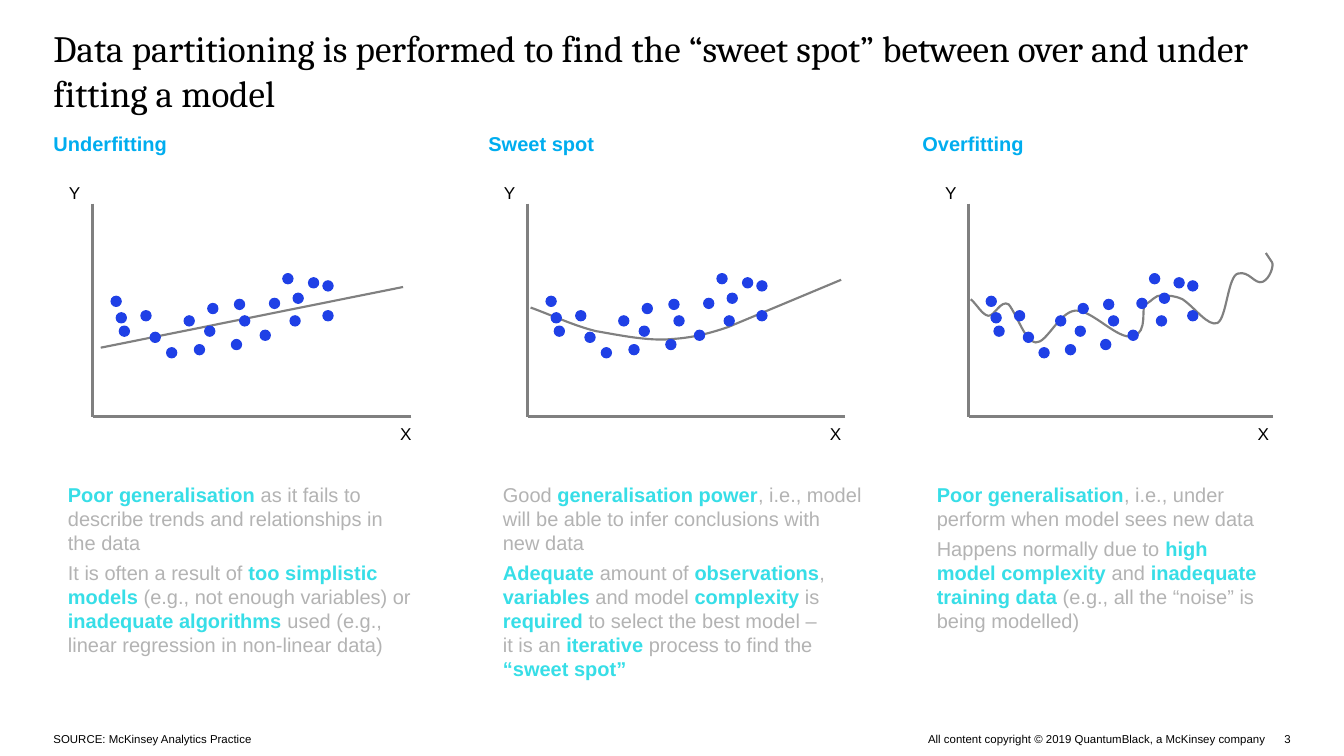
from dataclasses import dataclass

from lxml.etree import SubElement
from pptx import Presentation
from pptx.dml.color import RGBColor
from pptx.enum.dml import MSO_LINE
from pptx.enum.shapes import MSO_CONNECTOR, MSO_SHAPE
from pptx.enum.text import MSO_ANCHOR, MSO_AUTO_SIZE, PP_ALIGN
from pptx.oxml.ns import qn
from pptx.util import Inches, Pt

COLORS = {
    "text": "000000",
    "panel": "FFFFFF",
    "heading": "00ADEF",
    "body": "B3B3B3",
    "accent": "37DEE7",
    "axis": "808080",
    "dot": "1F40E6",
}

Point = tuple[float, float]

COLUMN_WIDTH = 3.63
AXIS_TOP, AXIS_BOTTOM = 1.98, 4.05
DOT_SIZE = 0.1

DOTS: list[Point] = [
    (0, 2.88), (0.05, 3.04), (0.08, 3.17), (0.29, 3.02), (0.38, 3.23),
    (0.91, 3.17), (0.71, 3.07), (0.54, 3.38), (0.81, 3.35), (1.17, 3.3),
    (1.45, 3.21), (1.25, 3.07), (0.94, 2.95), (1.2, 2.91), (1.54, 2.9),
    (1.74, 3.07), (2.06, 3.02), (1.77, 2.85), (1.67, 2.66), (1.92, 2.7),
    (2.06, 2.73),
]


@dataclass
class Fit:
    heading: str
    left: float
    origin: float
    axis_right: float
    x_label: float
    dots_left: float
    dots_right: float
    start: Point
    cubics: list[tuple[Point, Point, Point]]
    end: Point
    body_height: float
    body: list[str]


FITS = [
    Fit("Underfitting", 0.52, 0.9, 4.0, 3.89, 1.08, 3.14, (0.98, 3.38), [], (3.92, 2.79), 1.72, [
        "**Poor generalisation **as it fails to describe trends and relationships in \nthe data",
        "It is often a result of **too simplistic models** (e.g., not enough variables) or "
        "**inadequate algorithms **used (e.g., linear regression in non-linear data)",
    ]),
    Fit("Sweet spot", 4.75, 5.13, 8.22, 8.07, 5.31, 7.36, (5.16, 2.99), [
        ((5.38, 3.07), (5.59, 3.17), (5.8, 3.22)),
        ((5.98, 3.25), (6.26, 3.31), (6.48, 3.3)),
        ((6.63, 3.29), (6.79, 3.28), (7.08, 3.18)),
    ], (8.18, 2.72), 1.96, [
        "Good **generalisation power**, i.e., model will be able to infer conclusions with \nnew data",
        "**Adequate** amount of **observations**, **variables** and model **complexity** is "
        "**required** to select the best model – \nit is an **iterative** process to find the "
        "**“sweet spot”**",
    ]),
    Fit("Overfitting", 8.97, 9.42, 12.38, 12.23, 9.59, 11.55, (9.44, 2.91), [
        ((9.5, 2.96), (9.55, 3.06), (9.61, 3.07)),
        ((9.67, 3.08), (9.73, 2.91), (9.81, 2.96)),
        ((9.9, 3.08), (9.97, 3.32), (10.07, 3.33)),
        ((10.18, 3.34), (10.3, 3.03), (10.46, 3.02)),
        ((10.62, 3.01), (10.87, 3.31), (11.02, 3.27)),
        ((11.17, 3.23), (11.09, 2.98), (11.14, 2.96)),
        ((11.2, 2.93), (11.23, 2.87), (11.3, 2.87)),
        ((11.38, 2.88), (11.41, 2.87), (11.5, 2.91)),
        ((11.62, 2.99), (11.75, 3.18), (11.84, 3.14)),
        ((11.93, 3.09), (11.94, 2.68), (12.04, 2.66)),
        ((12.15, 2.63), (12.2, 2.77), (12.28, 2.74)),
        ((12.35, 2.71), (12.39, 2.58), (12.37, 2.55)),
    ], (12.31, 2.46), 1.48, [
        "**Poor generalisation**, i.e., under perform when model sees new data",
        "Happens normally due to **high \nmodel complexity **and **inadequate training data** "
        "(e.g., all the “noise” is being modelled)",
    ]),
]


def rgb(name: str) -> RGBColor:
    return RGBColor.from_string(COLORS[name])


def place(sp, left: float, top: float, width: float, height: float):
    sp.left, sp.top = Inches(left), Inches(top)
    sp.width, sp.height = Inches(width), Inches(height)
    tf = sp.text_frame
    tf.margin_left = tf.margin_right = tf.margin_top = tf.margin_bottom = 0
    tf.auto_size = MSO_AUTO_SIZE.NONE
    tf.vertical_anchor = MSO_ANCHOR.TOP
    tf.word_wrap = True
    return tf


def add_run(p, text: str, size: float, color: str, bold: bool = False, font: str = "Arial") -> None:
    r = p.add_run()
    r.text = text
    r.font.name, r.font.size, r.font.bold = font, Pt(size), bold
    r.font.color.rgb = rgb(color)


def add_label(s, text: str, left: float, top: float, width: float, height: float, size: float,
              color: str = "text", bold: bool = False, align=PP_ALIGN.LEFT) -> None:
    sp = s.shapes.add_textbox(0, 0, 0, 0)
    p = place(sp, left, top, width, height).paragraphs[0]
    p.alignment = align
    add_run(p, text, size, color, bold)


def add_line(s, start: Point, end: Point, color: str = "axis", width: float = 2.25):
    line = s.shapes.add_connector(MSO_CONNECTOR.STRAIGHT, *map(Inches, start + end))
    line.line.color.rgb = rgb(color)
    line.line.width = Pt(width)
    SubElement(line._element.spPr, qn("a:effectLst"))
    return line


def add_filled(s, kind, left: float, top: float, width: float, height: float,
               color: str, line_width: float) -> None:
    sp = s.shapes.add_shape(kind, *map(Inches, (left, top, width, height)))
    sp.shadow.inherit = False
    sp.fill.solid()
    sp.fill.fore_color.rgb = sp.line.color.rgb = rgb(color)
    sp.line.width = Pt(line_width)


def add_curve(s, fit: Fit) -> None:
    points = [fit.start, *(point for cubic in fit.cubics for point in cubic), fit.end]
    start, *rest = [(Inches(x), Inches(y)) for x, y in points]
    fb = s.shapes.build_freeform(*start)
    fb.add_line_segments(rest, close=False)
    sp = fb.convert_to_shape()
    outline = next(sp._element.iter(qn("a:path")))
    segments = outline.findall(qn("a:lnTo"))
    for i in range(0, 3 * len(fit.cubics), 3):
        first, *others = segments[i:i + 3]
        first.tag = qn("a:cubicBezTo")
        for segment in others:
            first.append(segment[0])
            outline.remove(segment)
    sp.shadow.inherit = False
    sp.fill.background()
    sp.line.color.rgb = rgb("axis")
    sp.line.width = Pt(1.5)


def fill_body(sp, fit: Fit) -> None:
    tf = place(sp, fit.left, 4.69, COLUMN_WIDTH, fit.body_height)
    for i, text in enumerate(fit.body):
        p = tf.add_paragraph() if i else tf.paragraphs[0]
        pPr = p._p.get_or_add_pPr()
        pPr.set("marL", str(Inches(0.14)))
        pPr.set("indent", str(-Inches(0.14)))
        SubElement(SubElement(pPr, qn("a:buClr")), qn("a:srgbClr"), val=COLORS["panel"])
        SubElement(pPr, qn("a:buChar"), char="•")
        p.space_before, p.space_after, p.line_spacing = Pt(0), Pt(4.5), 1.0
        for j, part in enumerate(text.split("**")):
            for k, piece in enumerate(part.split("\n")):
                if k:
                    p.add_line_break()
                if piece:
                    add_run(p, piece, 14, "accent" if j % 2 else "body", bool(j % 2))


def draw_fit(s, fit: Fit, body) -> None:
    add_filled(s, MSO_SHAPE.RECTANGLE, fit.left, 1.57, COLUMN_WIDTH, 2.95, "panel", 0.25)
    add_label(s, fit.heading, fit.left, 1.28, COLUMN_WIDTH, 0.26, 14, "heading", True)
    fill_body(body, fit)
    add_label(s, "Y", fit.origin - 0.23, 1.77, 0.15, 0.18, 12)
    add_label(s, "X", fit.x_label, 4.12, 0.15, 0.18, 12)
    add_line(s, (fit.origin, AXIS_TOP), (fit.origin, AXIS_BOTTOM))
    add_line(s, (fit.axis_right, AXIS_BOTTOM), (fit.origin, AXIS_BOTTOM))
    add_curve(s, fit)
    scale = (fit.dots_right - fit.dots_left) / DOTS[-1][0]
    for x, y in DOTS:
        add_filled(s, MSO_SHAPE.OVAL, fit.dots_left + scale * x, y, DOT_SIZE, DOT_SIZE, "dot", 0.75)


def main() -> None:
    prs = Presentation()
    prs.slide_width, prs.slide_height = Inches(13.07), Inches(7.35)
    s = prs.slides.add_slide(prs.slide_layouts.get_by_name("Comparison"))
    title, *bodies, spare = list(s.placeholders)
    spare._element.getparent().remove(spare._element)

    p = place(title, 0.52, 0.25, 12.08, 0.44).paragraphs[0]
    p.alignment = PP_ALIGN.LEFT
    add_run(p, "Data partitioning is performed to find the “sweet spot” between over and under "
            "fitting a model", 26, "text", font="Cambria")

    for fit, body in zip(FITS, bodies):
        draw_fit(s, fit, body)
    for fit in FITS[1:]:
        x = fit.left - 0.3
        add_line(s, (x, 1.28), (x, 6.65), "panel", 0.75).line.dash_style = MSO_LINE.DASH

    add_label(s, "SOURCE: McKinsey Analytics Practice", 0.52, 7.12, 8, 0.14, 8)
    add_label(s, "All content copyright © 2019 QuantumBlack, a McKinsey company",
              8.96, 7.12, 3.35, 0.13, 8, align=PP_ALIGN.RIGHT)
    add_label(s, "3", 12.49, 7.12, 0.14, 0.13, 8)
    prs.save("out.pptx")


if __name__ == "__main__":
    main()
